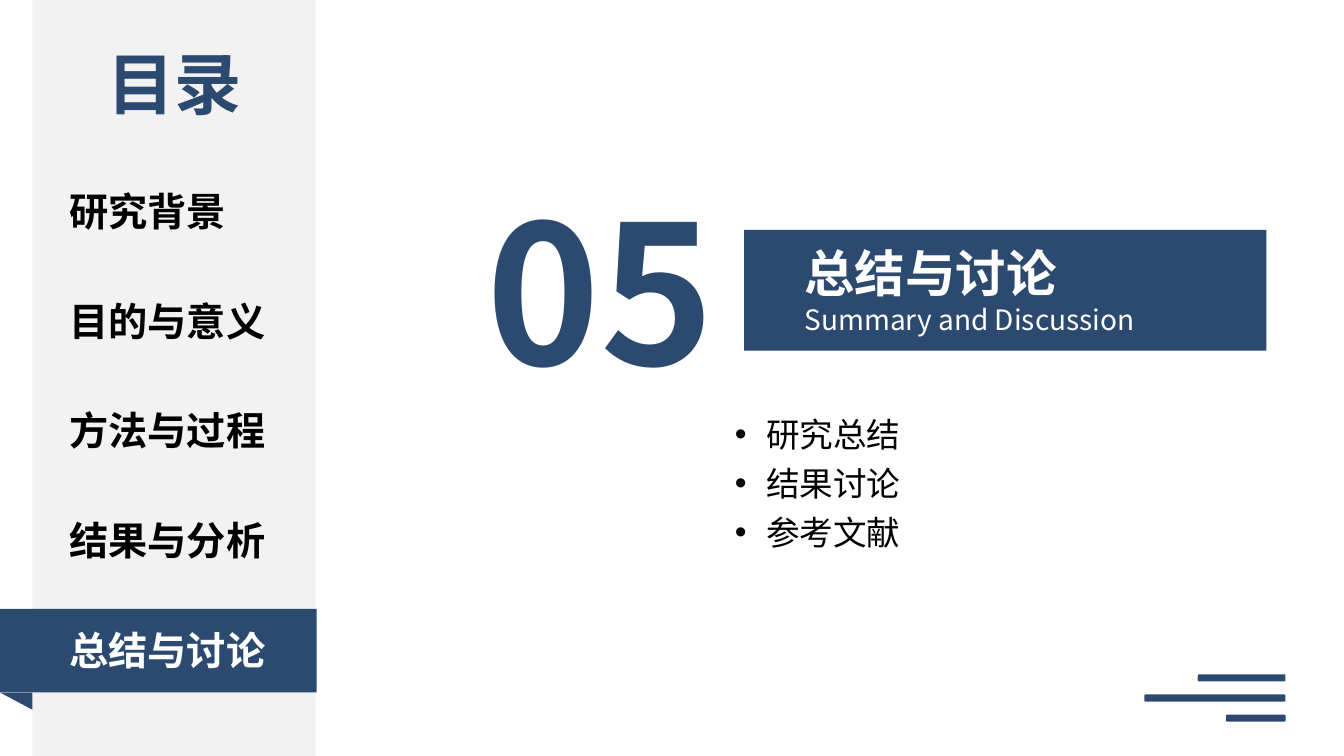
"""Build a section slide with a contents sidebar and a chapter heading."""
from lxml import etree
from pptx import Presentation
from pptx import util as u
from pptx.dml.color import RGBColor
from pptx.enum import shapes, text
from pptx.oxml import ns

FONT = "Noto Sans CJK SC"
COLORS = {"navy": "2C4A70", "panel": "F2F2F2", "black": "000000", "white": "FFFFFF"}
MENU = ["研究背景", "目的与意义", "方法与过程", "结果与分析", "总结与讨论"]
TOPICS = ["研究总结", "结果讨论", "参考文献"]
CORNER_BARS = [0.87, 1.4, 0.59]


def add_block(container, box, color, kind=shapes.MSO_SHAPE.RECTANGLE, rotation=0):
    """Add a filled shape without an outline."""
    shape = container.add_shape(kind, *map(u.Inches, box))
    shape.shadow.inherit = False
    shape.fill.solid()
    shape.fill.fore_color.rgb = RGBColor.from_string(COLORS[color])
    shape.line.fill.background()
    shape.rotation = rotation
    return shape


def add_bullet(paragraph):
    """Give a paragraph a round bullet with a hanging indent."""
    properties = paragraph._p.get_or_add_pPr()
    properties.set("marL", str(u.Inches(0.31)))
    properties.set("indent", str(u.Inches(-0.31)))
    etree.SubElement(properties, ns.qn("a:buFont")).set("typeface", "Arial")
    etree.SubElement(properties, ns.qn("a:buChar")).set("char", "•")


def write_paragraph(paragraph, content, size, color="black", bold=False,
                    align=text.PP_ALIGN.LEFT, spacing=None, bullet=False):
    """Write formatted text into a paragraph."""
    if bullet:
        add_bullet(paragraph)
    paragraph.alignment = align
    if spacing:
        paragraph.line_spacing = u.Pt(spacing)
    run = paragraph.add_run()
    run.text = content
    run.font.size = u.Pt(size)
    run.font.bold = bold
    run.font.name = FONT
    run.font.color.rgb = RGBColor.from_string(COLORS[color])
    east_asian = etree.Element(ns.qn("a:ea"), typeface=FONT)
    run.font._element.find(ns.qn("a:latin")).addnext(east_asian)


def add_text(slide, box, lines, **style):
    """Add a text box from (text, size) lines or (text, size, overrides) lines."""
    frame = slide.shapes.add_textbox(*map(u.Inches, box)).text_frame
    frame.word_wrap = True
    frame.auto_size = text.MSO_AUTO_SIZE.SHAPE_TO_FIT_TEXT
    for index, (content, size, *overrides) in enumerate(lines):
        paragraph = frame.add_paragraph() if index else frame.paragraphs[0]
        write_paragraph(paragraph, content, size, **{**style, **dict(*overrides)})


def add_sidebar(slide):
    """Add the contents panel with its last entry on a folded ribbon."""
    add_block(slide.shapes, (0.32, 0, 2.81, 7.5), "panel")
    ribbon = slide.shapes.add_group_shape().shapes
    add_block(ribbon, (0, 6.04, 3.14, 0.83), "navy")
    add_block(ribbon, (0, 6.87, 0.32, 0.17), "navy",
              shapes.MSO_SHAPE.RIGHT_TRIANGLE, rotation=180)
    add_text(slide, (0.76, 0.37, 1.94, 0.91), [("目录", 48)],
             color="navy", bold=True, align=text.PP_ALIGN.CENTER)
    for index, entry in enumerate(MENU):
        color = "white" if entry == MENU[-1] else "black"
        add_text(slide, (0.59, 1.81 + index * 4.35 / 4, 2.21, 0.57),
                 [(entry, 28)], color=color, bold=True)


def add_chapter(slide):
    """Add the chapter number, its title banner and its topics."""
    add_block(slide.shapes, (7.38, 2.28, 5.18, 1.2), "navy")
    add_text(slide, (4.35, 1.66, 3.22, 2.42), [("05", 138)],
             color="navy", bold=True, align=text.PP_ALIGN.CENTER)
    add_text(slide, (7.88, 2.35, 4.5, 1.04),
             [("总结与讨论", 36, {"bold": True}), ("Summary and Discussion", 20)],
             color="white")
    add_text(slide, (7.19, 3.97, 4.44, 2.02), [(topic, 24) for topic in TOPICS],
             spacing=35, bullet=True)


def add_corner_bars(slide):
    """Add the right-aligned bars in the lower corner."""
    group = slide.shapes.add_group_shape().shapes
    for index, width in enumerate(CORNER_BARS):
        add_block(group, (12.75 - width, 6.69 + index * 0.2, width, 0.07), "navy",
                  shapes.MSO_SHAPE.ROUNDED_RECTANGLE)


def main():
    """Create the presentation and save it."""
    presentation = Presentation()
    presentation.slide_width = u.Inches(13.33)
    presentation.slide_height = u.Inches(7.5)
    slide = presentation.slides.add_slide(presentation.slide_layouts[6])
    add_sidebar(slide)
    add_chapter(slide)
    add_corner_bars(slide)
    presentation.save("out.pptx")


if __name__ == "__main__":
    main()
